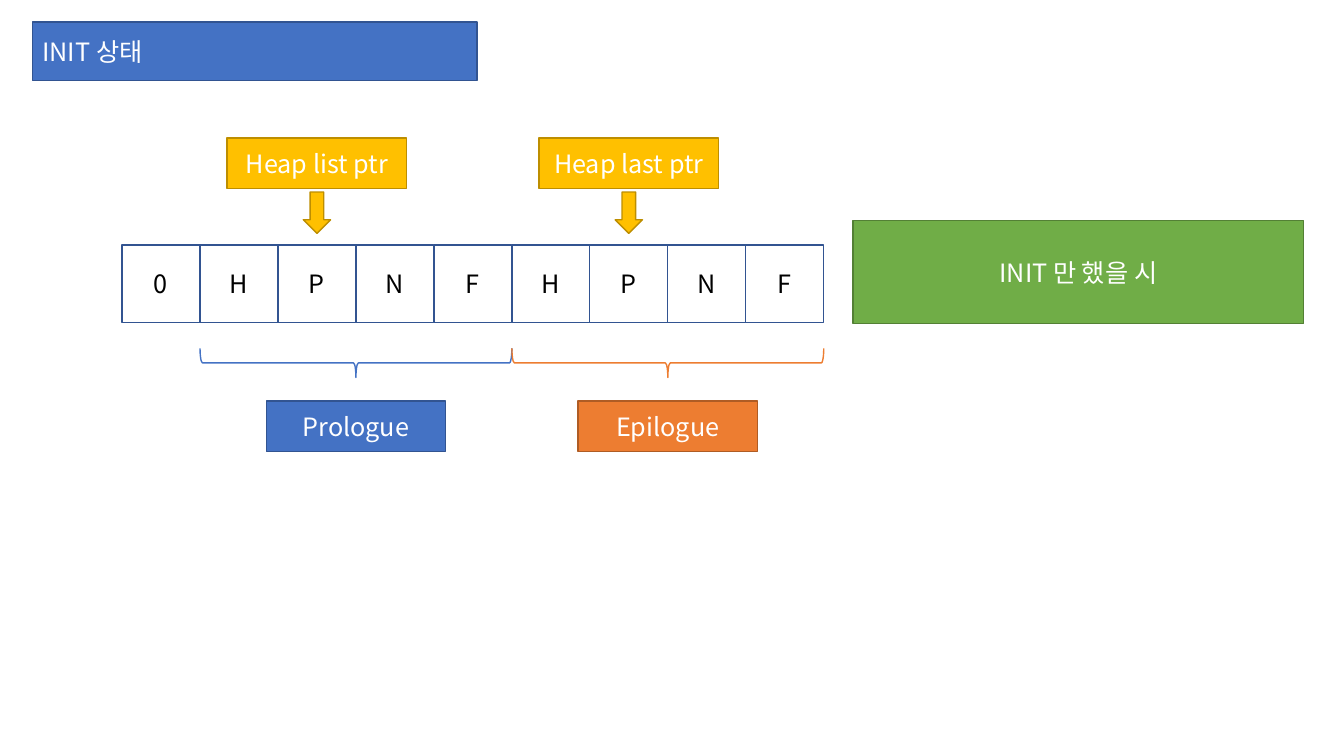
"""Build a slide showing the heap layout right after INIT."""
from lxml import etree
from pptx import Presentation
from pptx.dml.color import RGBColor
from pptx.enum.shapes import MSO_SHAPE
from pptx.enum.text import MSO_ANCHOR, MSO_AUTO_SIZE, PP_ALIGN
from pptx.oxml.ns import qn
from pptx.util import Inches, Pt

RECTANGLE, BRACE, ARROW = MSO_SHAPE.RECTANGLE, MSO_SHAPE.RIGHT_BRACE, MSO_SHAPE.RIGHT_ARROW
MIDDLE, NO_FIT = MSO_ANCHOR.MIDDLE, MSO_AUTO_SIZE.NONE
LEFT, CENTER = PP_ALIGN.LEFT, PP_ALIGN.CENTER
FONT = "Noto Sans CJK KR"
WHITE, BLACK = "FFFFFF", "000000"
BLUE, NAVY = "4472C4", "325491"
ORANGE, BROWN = "ED7D31", "AF5C24"
GOLD, DARK_GOLD = "FFC000", "BD8E00"
GREEN, DARK_GREEN = "70AD47", "538035"

TITLE = "INIT 상태"
NOTE = "INIT 만 했을 시"
CELLS = ["0", "H", "P", "N", "F", "H", "P", "N", "F"]
BLOCKS = [("Prologue", 1, BLUE, NAVY), ("Epilogue", 5, ORANGE, BROWN)]
POINTERS = [("Heap list ptr", 2), ("Heap last ptr", 6)]

STRIP_LEFT, STRIP_TOP, STRIP_WIDTH = 1.21, 2.43, 6.96
CELL = STRIP_WIDTH / len(CELLS)
BLOCK_CELLS = 4
LABEL_WIDTH, LABEL_HEIGHT = 1.78, 0.5


def color(value):
    return RGBColor.from_string(value)


def paint(shape, fill, line):
    if fill:
        shape.fill.solid()
        shape.fill.fore_color.rgb = color(fill)
    else:
        shape.fill.background()
    shape.line.color.rgb = color(line)
    shape.line.width = Pt(1)


def write(shape, text, ink=WHITE, align=CENTER):
    frame = shape.text_frame
    frame.text = text
    frame.word_wrap = True
    frame.auto_size = NO_FIT
    frame.vertical_anchor = MIDDLE
    para = frame.paragraphs[0]
    para.alignment = align
    font = para.runs[0].font
    font.size = Pt(18)
    font.name = FONT
    font.color.rgb = color(ink)
    properties = para.runs[0].font._element
    etree.SubElement(properties, qn("a:ea")).set("typeface", FONT)


def add_figure(shapes, kind, area, fill, line, rotation=0):
    figure = shapes.add_shape(kind, *map(Inches, area))
    figure.shadow.inherit = False
    figure.rotation = rotation
    paint(figure, fill, line)
    return figure


def add_turned(shapes, kind, center, middle, length, breadth, fill, line):
    area = (center - length / 2, middle - breadth / 2, length, breadth)
    return add_figure(shapes, kind, area, fill, line, 90)


def add_label(shapes, text, center, top, fill, line):
    area = (center - LABEL_WIDTH / 2, top, LABEL_WIDTH, LABEL_HEIGHT)
    write(add_figure(shapes, RECTANGLE, area, fill, line), text)


def cell_edge(index):
    return STRIP_LEFT + index * CELL


deck = Presentation()
deck.slide_width, deck.slide_height = Inches(13.33), Inches(7.5)
page = deck.slides.add_slide(deck.slide_layouts[5])

title = page.shapes.title
title.left, title.top, title.width, title.height = map(Inches, (0.32, 0.22, 4.41, 0.58))
paint(title, BLUE, NAVY)
write(title, TITLE, align=LEFT)

for index, text in enumerate(CELLS):
    area = (cell_edge(index), STRIP_TOP, CELL, CELL)
    write(add_figure(page.shapes, RECTANGLE, area, WHITE, NAVY), text, BLACK)

note = add_figure(page.shapes, RECTANGLE, (8.46, 2.19, 4.47, 1.02), GREEN, DARK_GREEN)
write(note, NOTE)

for text, first, fill, line in BLOCKS:
    center = cell_edge(first + BLOCK_CELLS / 2)
    add_turned(page.shapes, BRACE, center, 3.6, 0.29, BLOCK_CELLS * CELL, None, fill)
    add_label(page.shapes, text, center, 3.98, fill, line)

for text, index in POINTERS:
    center = cell_edge(index + 0.5)
    group = page.shapes.add_group_shape()
    add_turned(group.shapes, ARROW, center, 2.11, 0.41, 0.27, GOLD, DARK_GOLD)
    add_label(group.shapes, text, center, 1.37, GOLD, DARK_GOLD)

deck.save("out.pptx")
